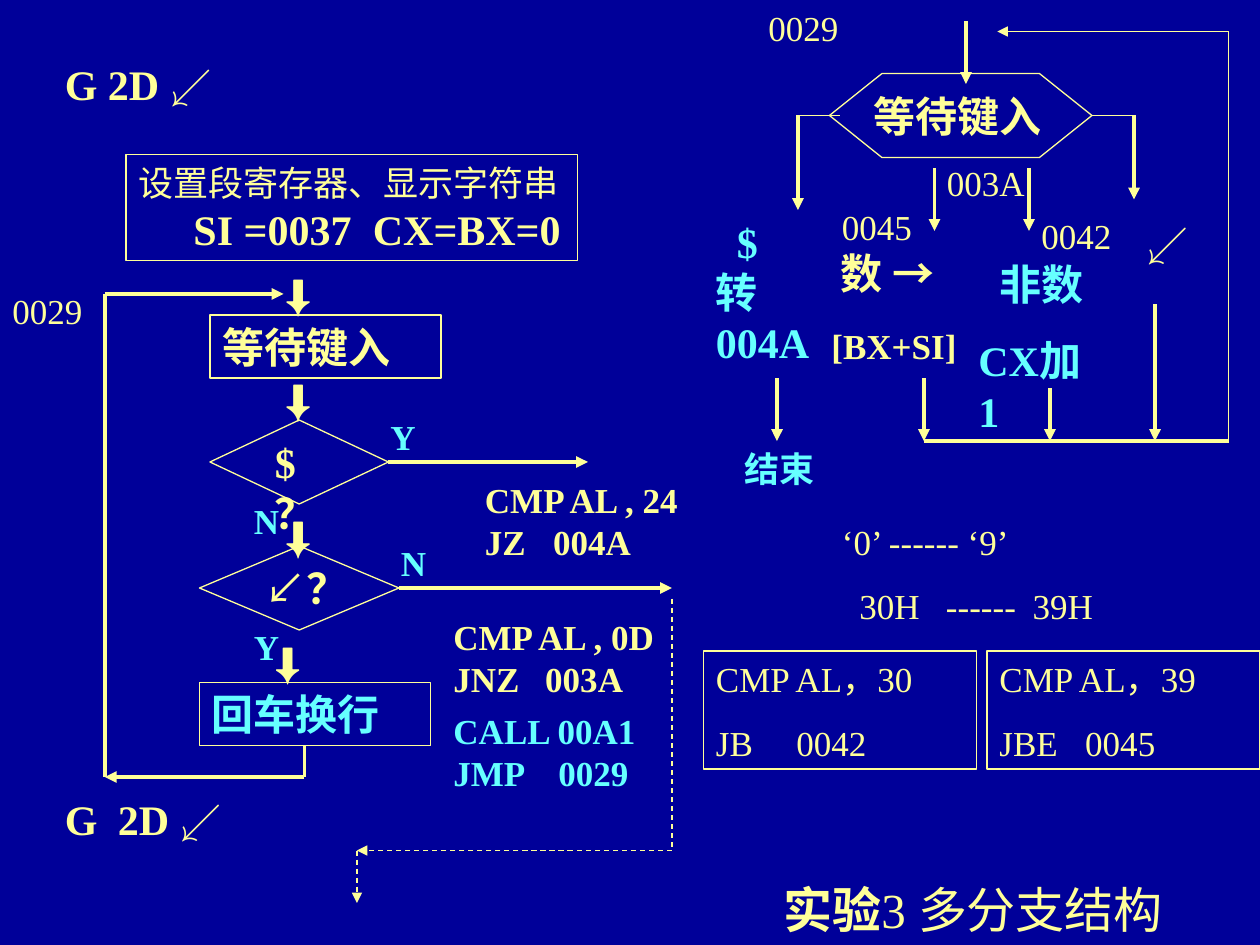
"""Build the flowchart slide about multi-branch structure."""
from dataclasses import dataclass
from typing import Any

from lxml import etree
from pptx import Presentation
from pptx import util as u
from pptx.dml.color import RGBColor
from pptx.enum import dml, shapes, text
from pptx.oxml.ns import qn

CREAM, CYAN, NAVY = "FFFF99", "66FFFF", "000099"
DOWN, ENTER = "⬇", "↙"


def colour(value):
    return RGBColor.from_string(value)


@dataclass
class Chart:
    page: Any
    face: str = "Times New Roman"
    symbol_face: str = "Arial"
    thin: float = 0.75
    thick: float = 2.25

    def style_font(self, font, size=None, bold=None, face=None, ink=None):
        if size:
            font.size = u.Pt(size)
        if bold is not None:
            font.bold = bold
        if face:
            font.name = face
        if ink:
            font.color.rgb = colour(ink)

    def set_words(self, para, spans, size, bold, ink, face=None, tabs=()):
        if tabs:
            stops = etree.SubElement(para._p.get_or_add_pPr(), qn("a:tabLst"))
            for stop in tabs:
                etree.SubElement(stops, qn("a:tab"), pos=str(int(u.Pt(stop))), algn="l")
        self.style_font(para.font, size, bold, face or self.face, ink)
        if isinstance(spans, str):
            para.text = spans
            return
        for words, style in spans:
            if words == "\v":
                para.add_line_break()
            else:
                span = para.add_run()
                span.text = words
                self.style_font(span.font, **style)

    def fill_frame(self, frame, paras, size, bold, ink, face, tabs):
        frame.word_wrap = True
        frame.vertical_anchor = text.MSO_ANCHOR.TOP
        for number, spans in enumerate(paras):
            para = frame.add_paragraph() if number else frame.paragraphs[0]
            para.alignment = text.PP_ALIGN.LEFT
            if number:
                para.space_before = u.Pt(size * 0.625)
            self.set_words(para, spans, size, bold, ink, face, tabs)

    def label(self, place, *paras, size=24, bold=True, ink=CREAM, face=None, tabs=()):
        box = self.page.shapes.add_textbox(*map(u.Pt, place))
        self.fill_frame(box.text_frame, paras, size, bold, ink, face, tabs)

    def outline(self, kind, place):
        shape = self.page.shapes.add_shape(kind, *map(u.Pt, place))
        shape.shadow.inherit = False
        shape.fill.background()
        shape.line.color.rgb = colour(CREAM)
        shape.line.width = u.Pt(self.thin)
        return shape

    def step(self, place, *paras, size=24, bold=True, ink=CREAM, tabs=()):
        box = self.outline(shapes.MSO_SHAPE.RECTANGLE, place)
        self.fill_frame(box.text_frame, paras, size, bold, ink, None, tabs)

    def line(self, x1, y1, x2, y2, width=None, arrow=True, dashed=False, start=None):
        link = self.page.shapes.add_connector(
            shapes.MSO_CONNECTOR.STRAIGHT, *map(u.Pt, (x1, y1, x2, y2)))
        if start is not None:
            link.begin_connect(start, 3)
        link.line.color.rgb = colour(CREAM)
        link.line.width = u.Pt(width or self.thick)
        if dashed:
            link.line.dash_style = dml.MSO_LINE.DASH
        properties = link._element.spPr
        if arrow:
            etree.SubElement(properties.find(qn("a:ln")), qn("a:tailEnd"), type="triangle")
        etree.SubElement(properties, qn("a:effectLst"))

    def title(self, place, spans, size):
        box = self.page.shapes.title
        box.left, box.top, box.width, box.height = map(u.Pt, place)
        box.text_frame.vertical_anchor = text.MSO_ANCHOR.MIDDLE
        para = box.text_frame.paragraphs[0]
        para.alignment = text.PP_ALIGN.CENTER
        self.set_words(para, spans, size, True, CREAM)


def draw_main_flow(chart):
    symbol = {"face": chart.symbol_face, "bold": False}
    enter = (ENTER, {"face": chart.symbol_face})
    chart.label((18, 30, 324, 36), [("\tG 2D ", {}), enter], tabs=[12])
    chart.label((30, 450, 156, 36), [("G\t2D ", {}), enter], tabs=[30.3])
    chart.step((72, 88.5, 258, 60.5),
               [("设置段寄存器、显示字符串", {"size": 20, "bold": False}), ("\v", {}),
                ("\tSI =0037\tCX=BX=0", {})], tabs=[31.5, 134])
    chart.step((120, 180, 132, 36), "等待键入")
    chart.step((114, 390, 132, 36), "回车换行", ink=CYAN)
    for left, top, width in ((156, 150, 42), (156, 210, 42), (156, 288, 42), (150, 360, 36)):
        chart.label((left, top, width, 36), DOWN, bold=False, face=chart.symbol_face)

    chart.label((150, 246, 54, 65), "$\v？")
    chart.label((144, 318, 66, 36), [(ENTER, symbol), ("？", {})])
    decision = shapes.MSO_SHAPE.FLOWCHART_DECISION
    dollar = chart.outline(decision, (120, 240, 102, 48))
    enter_key = chart.outline(decision, (114, 312, 114, 48))
    chart.line(222, 264, 336, 264, start=dollar)
    chart.line(228, 336, 384, 336, start=enter_key)
    for left, top, answer in ((222, 306, "N"), (138, 282, "N"), (216, 234, "Y"), (138, 354, "Y")):
        chart.label((left, top, 30, 31.5), answer, size=20, ink=CYAN)

    chart.line(174, 426, 174, 444, arrow=False)
    chart.line(174, 444, 60, 444)
    chart.line(60, 168, 60, 444, arrow=False)
    chart.line(60, 168, 162, 168)
    chart.line(384, 342, 384, 486, chart.thin, arrow=False, dashed=True)
    chart.line(384, 486, 204, 486, chart.thin, dashed=True)
    chart.line(204, 486, 204, 516, chart.thin, dashed=True)

    for left, top, width, code, stop, ink in (
            (270, 270, 132, "CMP AL , 24\vJZ\t004A", 39, CREAM),
            (252, 348, 144, "CMP AL , 0D\vJNZ\t003A", 52.5, CREAM),
            (252, 402, 132, "CALL 00A1\vJMP\t0029", 60, CYAN)):
        chart.label((left, top, width, 55.5), code, size=20, ink=ink, tabs=[stop])


def draw_key_branches(chart):
    arrow = ("→", {"face": chart.symbol_face})
    chart.label((492, 48, 132, 36), "等待键入")
    wait = chart.outline(shapes.MSO_SHAPE.FLOWCHART_PREPARATION, (474, 42, 150, 48))
    chart.line(624, 66, 648, 66, chart.thin, arrow=False, start=wait)
    chart.line(456, 66, 480, 66, chart.thin, arrow=False)
    for x, top, bottom in ((552, 12, 48), (456, 66, 120), (648, 66, 114), (534, 96, 132),
                           (588, 96, 132), (660, 174, 252), (600, 222, 252),
                           (528, 216, 252), (444, 216, 252)):
        chart.line(x, top, x, bottom)
    chart.line(528, 252, 702, 252, arrow=False)
    chart.line(702, 18, 702, 252, chart.thin, arrow=False)
    chart.line(702, 18, 570, 18, chart.thin)

    chart.label((402, 120, 78, 93.5), "\t$\v转\v004A", ink=CYAN, tabs=[12])
    chart.label((624, 120, 78, 36), "\t" + ENTER, face=chart.symbol_face, tabs=[24])
    chart.label((468, 138, 102, 72.5), [(" 数 ", {}), arrow], [("[BX+SI]", {"size": 20})])
    chart.label((552, 144, 96, 108.5), "\t非数", "CX加\v1", ink=CYAN, tabs=[12])
    chart.label((414, 252, 84, 31.5), " 结束", size=20, ink=CYAN)
    for left, top, address in ((588, 119, "0042"), (432, 0, "0029"), (0, 162, "0029"),
                               (474, 114, "0045"), (534, 88.5, "003A")):
        chart.label((left, top, 66, 31.5), address, size=20, bold=False)


def draw_digit_test(chart):
    chart.label((474, 294, 180, 67.5), "‘0’ ------ ‘9’", "\t30H\t------\t39H",
                size=20, bold=False, tabs=[10, 59.5, 109])
    for left, limit, jump, stop in ((402, "30", "JB\t0042", 46), (564, "39", "JBE\t0045", 49)):
        chart.step((left, 372, 156, 67.5), f"CMP AL，{limit}", jump,
                   size=20, bold=False, tabs=[stop])


def main():
    deck = Presentation()
    deck.slide_width, deck.slide_height = u.Pt(720), u.Pt(540)
    page = deck.slides.add_slide(deck.slide_layouts[5])
    page.background.fill.solid()
    page.background.fill.fore_color.rgb = colour(NAVY)
    chart = Chart(page)
    draw_main_flow(chart)
    draw_key_branches(chart)
    draw_digit_test(chart)
    chart.title((432, 486, 258, 54), [("实验", {}), ("3 多分支结构", {"bold": False}),
                                      (" ", {"bold": False, "size": 44})], 28)
    deck.save("out.pptx")


if __name__ == "__main__":
    main()
